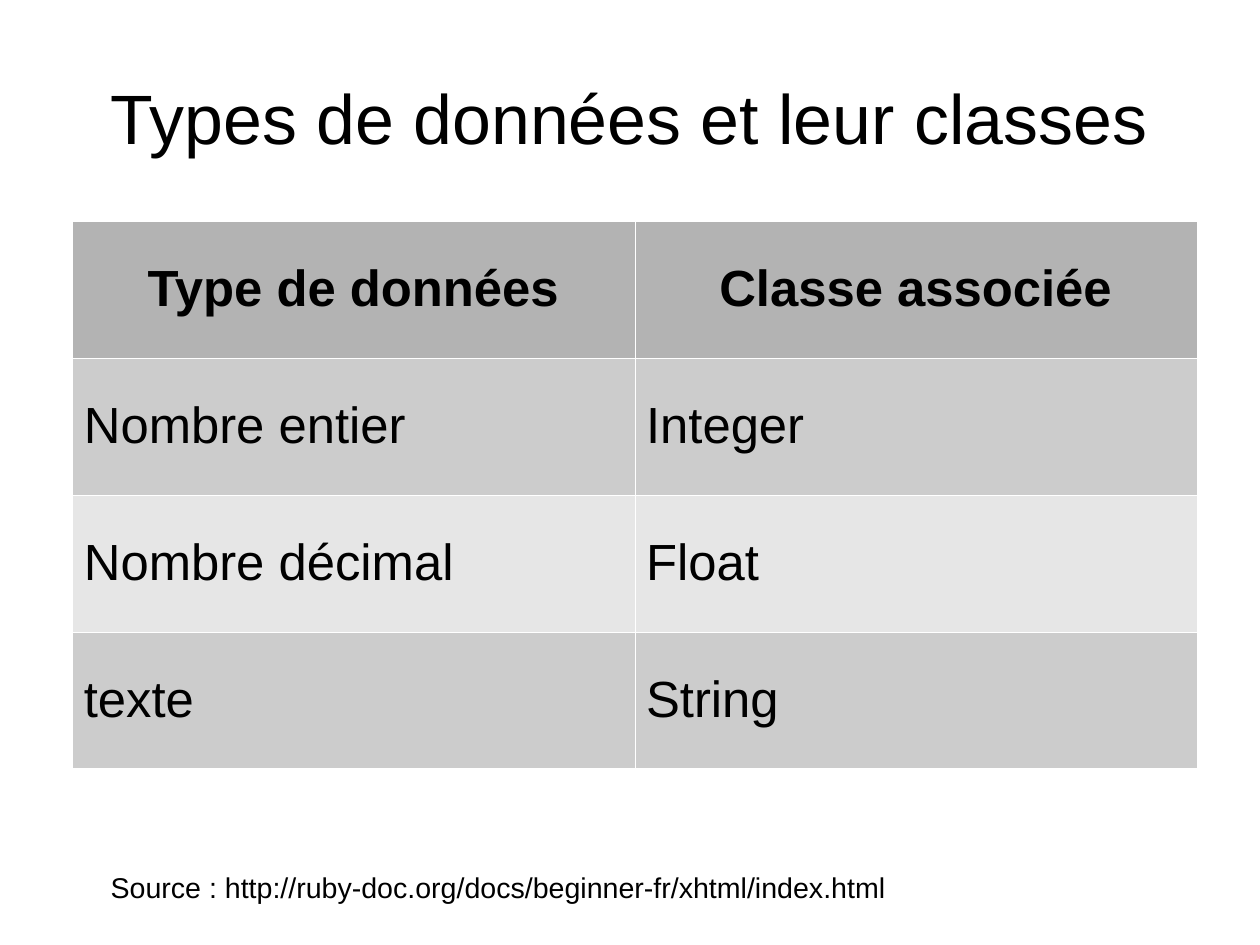
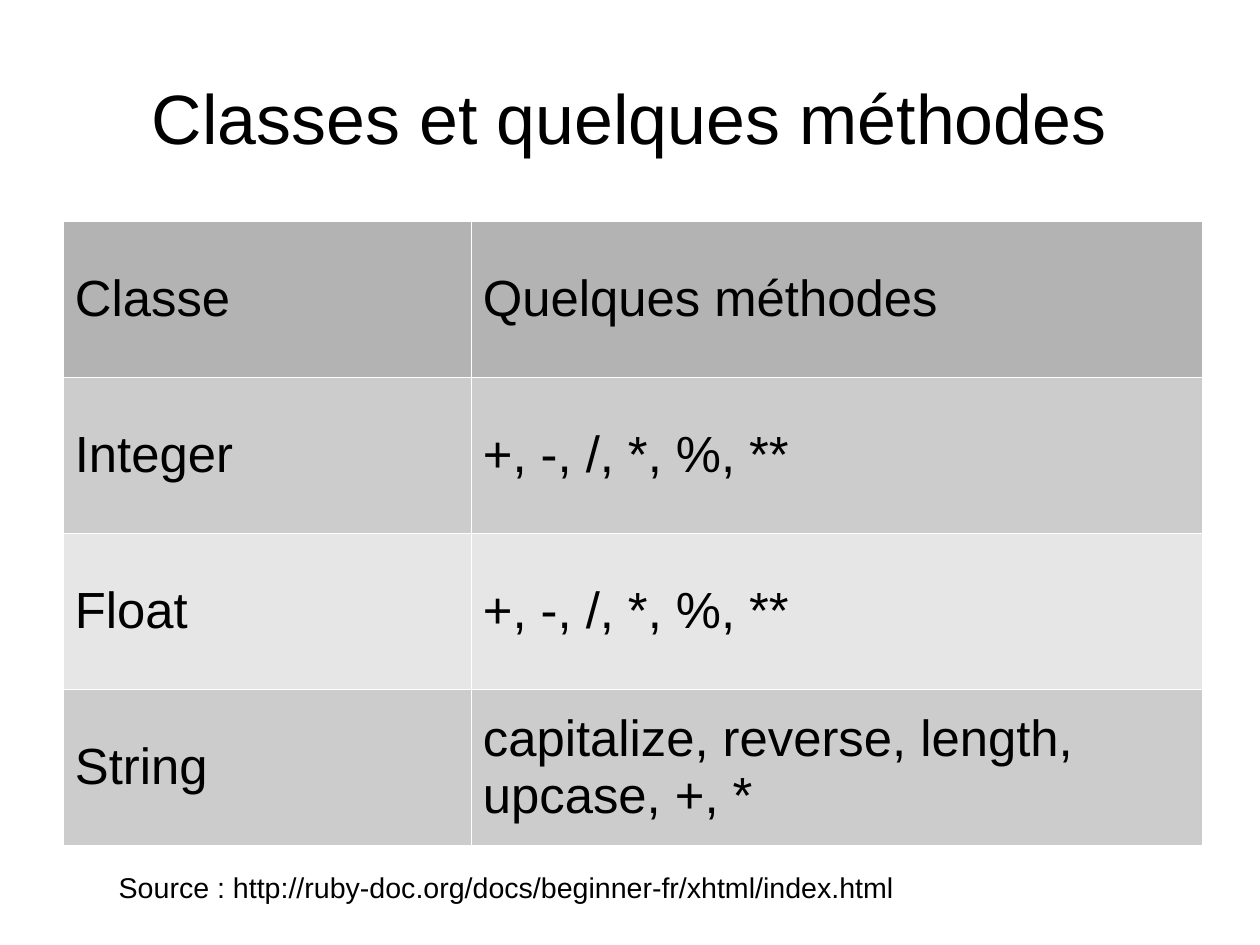
from dataclasses import dataclass

import pptx
import pptx.dml.color
import pptx.enum.text
import pptx.oxml
import pptx.oxml.ns
import pptx.util

Pt = pptx.util.Pt
RGB = pptx.dml.color.RGBColor.from_string
ANCHOR = pptx.enum.text.MSO_ANCHOR
AUTO_SIZE = pptx.enum.text.MSO_AUTO_SIZE
ALIGN = pptx.enum.text.PP_ALIGN


@dataclass(frozen=True)
class Theme:
    font: str = "Arial"
    ink: str = "000000"
    paper: str = "FFFFFF"
    header_fill: str = "B3B3B3"
    band_fills: tuple = ("CCCCCC", "E6E6E6")
    title_size: float = 44
    table_size: float = 32
    source_size: float = 18
    border_width: float = 0.06


THEME = Theme()
TABLE_TOP = 139
SOURCE_TOP = 544.3
SOURCE = "Source : http://ruby-doc.org/docs/beginner-fr/xhtml/index.html"


def write(paragraph, text, size, bold=False, align=ALIGN.LEFT):
    paragraph.text = text
    paragraph.alignment = align
    font = paragraph.font
    font.name, font.size, font.bold = THEME.font, Pt(size), bold
    font.color.rgb = RGB(THEME.ink)


# Slide with its title
def add_titled_slide(prs, text):
    slide = prs.slides.add_slide(prs.slide_layouts[5])
    slide.background.fill.solid()
    slide.background.fill.fore_color.rgb = RGB(THEME.paper)
    title = slide.shapes.title
    title.left, title.top = Pt(39.6), Pt(23.8)
    title.width, title.height = Pt(714.2), Pt(99.4)
    frame = title.text_frame
    frame.margin_left = frame.margin_right = 0
    frame.margin_top = frame.margin_bottom = 0
    frame.vertical_anchor = ANCHOR.MIDDLE
    frame.auto_size = AUTO_SIZE.NONE
    write(frame.paragraphs[0], text, THEME.title_size, align=ALIGN.CENTER)
    return slide


# Table with a header and alternating row fills
def set_borders(cell):
    properties = cell._tc.get_or_add_tcPr()
    for position, side in enumerate(("lnL", "lnR", "lnT", "lnB")):
        properties.insert(position, pptx.oxml.parse_xml(
            f'<a:{side} {pptx.oxml.ns.nsdecls("a")} w="{Pt(THEME.border_width)}">'
            f'<a:solidFill><a:srgbClr val="{THEME.paper}"/></a:solidFill>'
            f'</a:{side}>'))


def row_fill(row):
    if row == 0:
        return THEME.header_fill
    return THEME.band_fills[(row - 1) % len(THEME.band_fills)]


def add_table(slide, rows, left, column_widths, row_height, strong_header=False):
    table = slide.shapes.add_table(
        len(rows), len(column_widths), Pt(left), Pt(TABLE_TOP),
        Pt(sum(column_widths)), Pt(row_height * len(rows))).table
    table.first_row = table.horz_banding = False
    for column, width in zip(table.columns, column_widths):
        column.width = Pt(width)
    for row, texts in enumerate(rows):
        strong = strong_header and row == 0
        for column, text in enumerate(texts):
            cell = table.cell(row, column)
            cell.vertical_anchor = ANCHOR.MIDDLE
            cell.fill.solid()
            cell.fill.fore_color.rgb = RGB(row_fill(row))
            set_borders(cell)
            write(cell.text_frame.paragraphs[0], text, THEME.table_size,
                  strong, ALIGN.CENTER if strong else ALIGN.LEFT)


# Source line below the table
def add_source(slide, left):
    frame = slide.shapes.add_textbox(
        Pt(left), Pt(SOURCE_TOP), Pt(502.6), Pt(27.4)).text_frame
    frame.word_wrap = False
    frame.auto_size = AUTO_SIZE.SHAPE_TO_FIT_TEXT
    write(frame.paragraphs[0], SOURCE, THEME.source_size)


def main():
    prs = pptx.Presentation()
    prs.slide_width, prs.slide_height = Pt(793.7), Pt(595.3)

    # Data types
    slide = add_titled_slide(prs, "Types de données et leur classes")
    add_table(slide, [
        ("Type de données", "Classe associée"),
        ("Nombre entier", "Integer"),
        ("Nombre décimal", "Float"),
        ("texte", "String"),
    ], 45.6, (354.2, 354.2), 86.3, strong_header=True)
    add_source(slide, 62.6)

    # Methods of each class
    operators = "+, -, /, *, %, **"
    slide = add_titled_slide(prs, "Classes et quelques méthodes")
    add_table(slide, [
        ("Classe", "Quelques méthodes"),
        ("Integer", operators),
        ("Float", operators),
        ("String", "capitalize, reverse, length, upcase, +, *"),
    ], 40, (257, 460), 98.4)
    add_source(slide, 67.7)

    prs.save("out.pptx")


if __name__ == "__main__":
    main()
